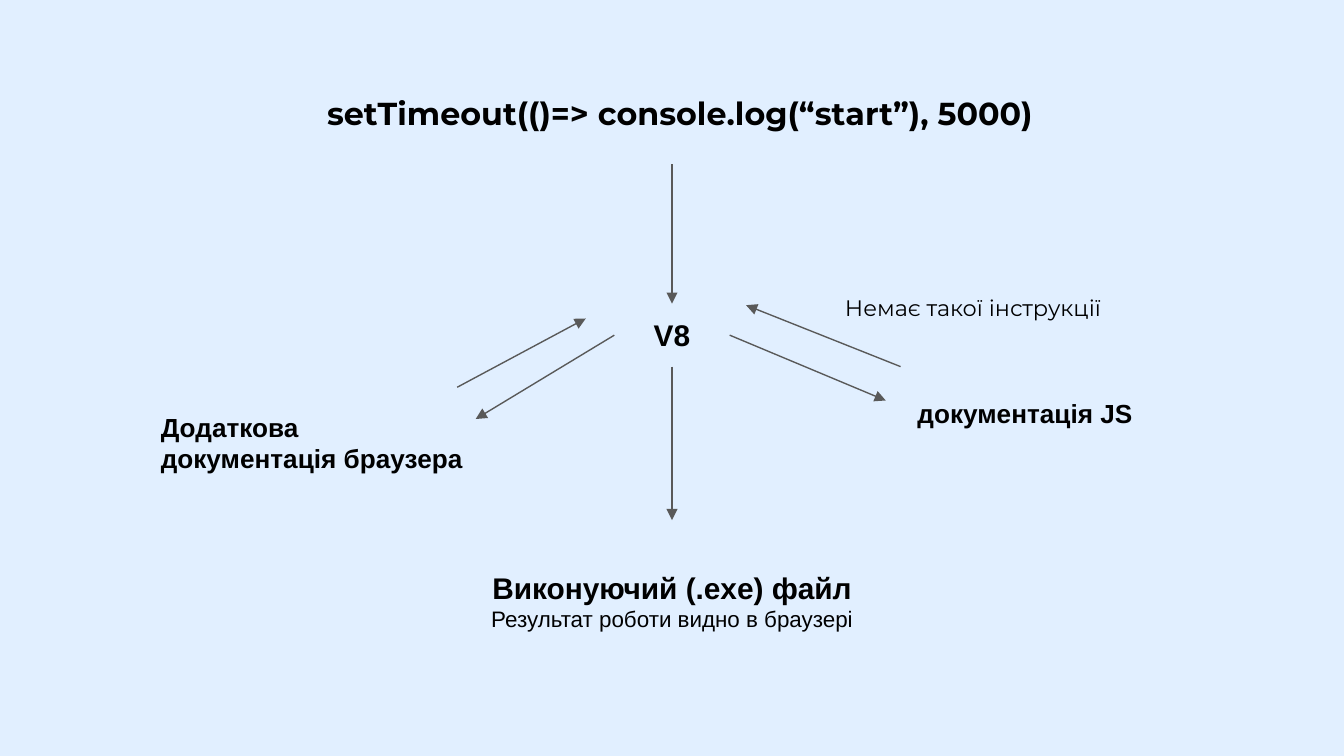
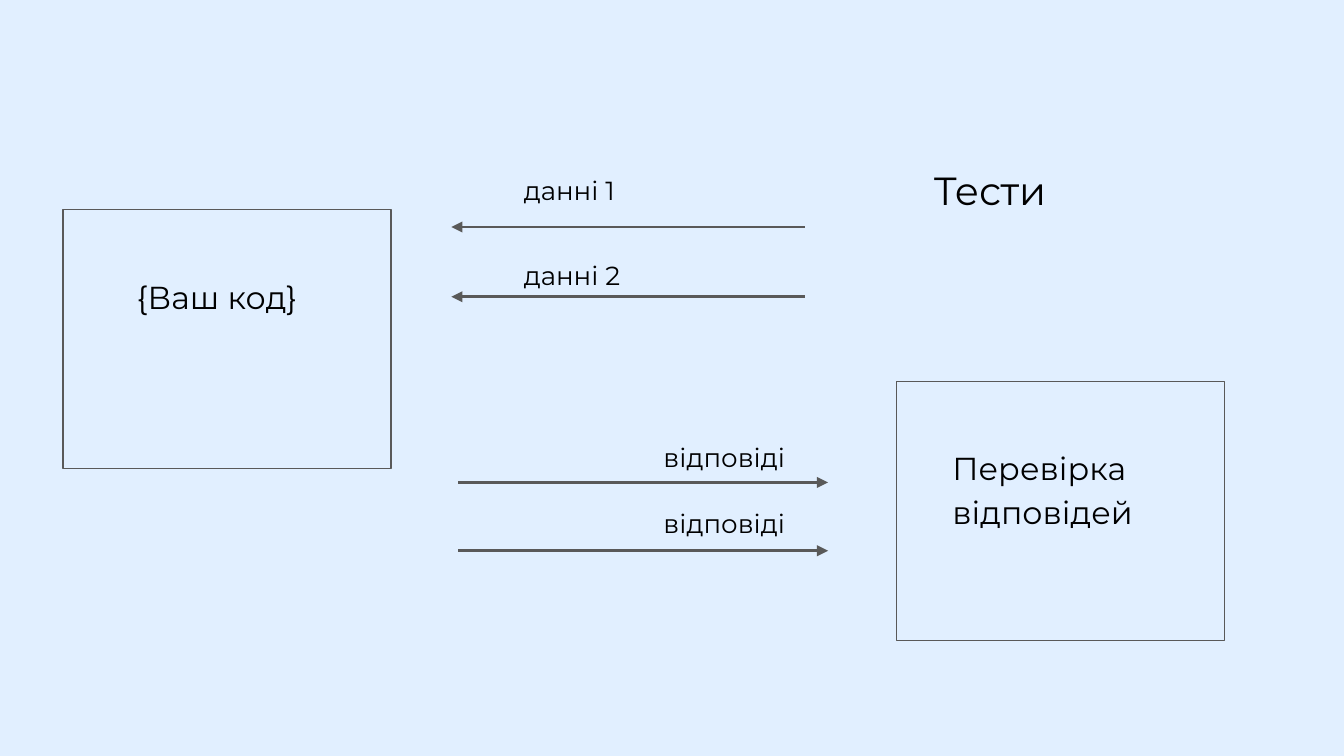
"""Build two slides: how the engine runs a timer, and how tests check code."""
from lxml.etree import SubElement
from pptx import Presentation
from pptx.dml.color import RGBColor
from pptx.enum.shapes import MSO_CONNECTOR, MSO_SHAPE
from pptx.enum.text import MSO_ANCHOR, MSO_AUTO_SIZE, PP_ALIGN
from pptx.oxml.ns import qn
from pptx.util import Cm, Pt

SKY = RGBColor(0xE1, 0xEF, 0xFF)
BLACK = RGBColor(0, 0, 0)
GREY = RGBColor(0x59, 0x59, 0x59)
SANS = "Arial"
MONT = "Montserrat"
TOP, LEFT, BOTTOM, RIGHT = range(4)


def write(box, text, size=14, font=MONT, bold=False, align=PP_ALIGN.LEFT, space=None):
    """Add one paragraph of formatted text to a box."""
    frame = box.text_frame
    para = frame.add_paragraph() if frame.text else frame.paragraphs[0]
    para.text = text
    para.alignment = align
    para.line_spacing = space
    para.font.name = font
    para.font.size = Pt(size)
    para.font.bold = bold
    para.font.color.rgb = BLACK


def fit(box):
    """Give a text box its margins, wrapping and growth."""
    frame = box.text_frame
    frame.word_wrap = True
    frame.auto_size = MSO_AUTO_SIZE.SHAPE_TO_FIT_TEXT
    frame.vertical_anchor = MSO_ANCHOR.TOP
    frame.margin_left = frame.margin_right = Cm(0.25)
    frame.margin_top = frame.margin_bottom = Cm(0.25)


def label(slide, place, *lines, **form):
    """Add a text box with one paragraph for each line."""
    box = slide.shapes.add_textbox(*map(Cm, place))
    fit(box)
    for line in lines:
        write(box, line, **form)
    return box


def head(slide, place, text, **form):
    """Place and fill the title."""
    box = slide.shapes.title
    box.left, box.top, box.width, box.height = map(Cm, place)
    fit(box)
    write(box, text, **form)


def frame(slide, left, top):
    """Add an outlined square."""
    rect = slide.shapes.add_shape(
        MSO_SHAPE.RECTANGLE, Cm(left), Cm(top), Cm(6.2), Cm(4.9))
    rect.shadow.inherit = False
    rect.fill.background()
    rect.line.color.rgb = GREY
    rect.line.width = Pt(0.75)


def arrow(slide, start, end, width=0.75):
    """Add a line with an arrowhead at its end."""
    line = slide.shapes.add_connector(
        MSO_CONNECTOR.STRAIGHT, *map(Cm, start + end))
    line.line.color.rgb = GREY
    line.line.width = Pt(width)
    tail = SubElement(line.line._get_or_add_ln(), qn("a:tailEnd"))
    tail.set("type", "triangle")
    SubElement(line._element.spPr, qn("a:effectLst"))
    return line


def engine(slide):
    """Draw the path of a timer call through the engine."""
    head(slide, (2.06, 1.52, 21.59, 1.24),
         "setTimeout(()=> console.log(“start”), 5000)",
         size=17, bold=True, align=PP_ALIGN.CENTER)
    hub = label(slide, (11.61, 5.74, 2.18, 1.19), "V8",
                size=16, font=SANS, bold=True, align=PP_ALIGN.CENTER)
    result = label(slide, (8.31, 10.52, 8.79, 1.7), "Виконуючий (.exe) файл",
                   size=16, font=SANS, bold=True, align=PP_ALIGN.CENTER)
    write(result, "Результат роботи видно в браузері",
          size=12, font=SANS, align=PP_ALIGN.CENTER)
    label(slide, (17.09, 7.26, 7.92, 1.12), "документація JS",
          font=SANS, bold=True)
    label(slide, (2.79, 7.52, 8.28, 1.7), "Додаткова", "документація браузера",
          font=SANS, bold=True)
    label(slide, (15.72, 5.31, 5.41, 1.02), "Немає такої інструкції", size=12)

    call = arrow(slide, (12.7, 3.1), (12.7, 5.74))
    call.end_connect(hub, TOP)
    for side, start, end in (
        (BOTTOM, (12.7, 6.93), (12.7, 9.83)),
        (RIGHT, (13.79, 6.34), (16.74, 7.57)),
        (LEFT, (11.61, 6.34), (8.99, 7.92)),
    ):
        arrow(slide, start, end).begin_connect(hub, side)
    arrow(slide, (17.02, 6.93), (14.1, 5.77))
    arrow(slide, (8.64, 7.32), (11.07, 6.02))


def tests(slide):
    """Draw the exchange between the code and its tests."""
    head(slide, (17.4, 2.9, 4.06, 1.42), "Тести", size=21)
    frame(slide, 1.19, 3.96)
    frame(slide, 16.94, 7.21)
    label(slide, (2.34, 5, 3.86, 1.24), "{Ваш код}", size=17)
    label(slide, (17.75, 8.13, 4.57, 2.08), "Перевірка відповідей",
          size=17, space=1.15)
    for text, top, level in (("данні 1", 3.05, 4.29), ("данні 2", 4.65, 5.61)):
        label(slide, (9.65, top, 3.2, 1.12), text)
        arrow(slide, (15.21, level), (8.53, level), width=1.5)
    for top, level in ((8.1, 9.12), (9.35, 10.41)):
        label(slide, (12.29, top, 3, 1.12), "відповіді")
        arrow(slide, (8.66, level), (15.65, level), width=1.5)


def main():
    """Make the deck and save it."""
    deck = Presentation()
    deck.slide_width = Cm(25.4)
    deck.slide_height = Cm(14.29)
    back = deck.slide_master.background.fill
    back.solid()
    back.fore_color.rgb = SKY
    for draw in (engine, tests):
        draw(deck.slides.add_slide(deck.slide_layouts.get_by_name("Title Only")))
    deck.save("out.pptx")


if __name__ == "__main__":
    main()
